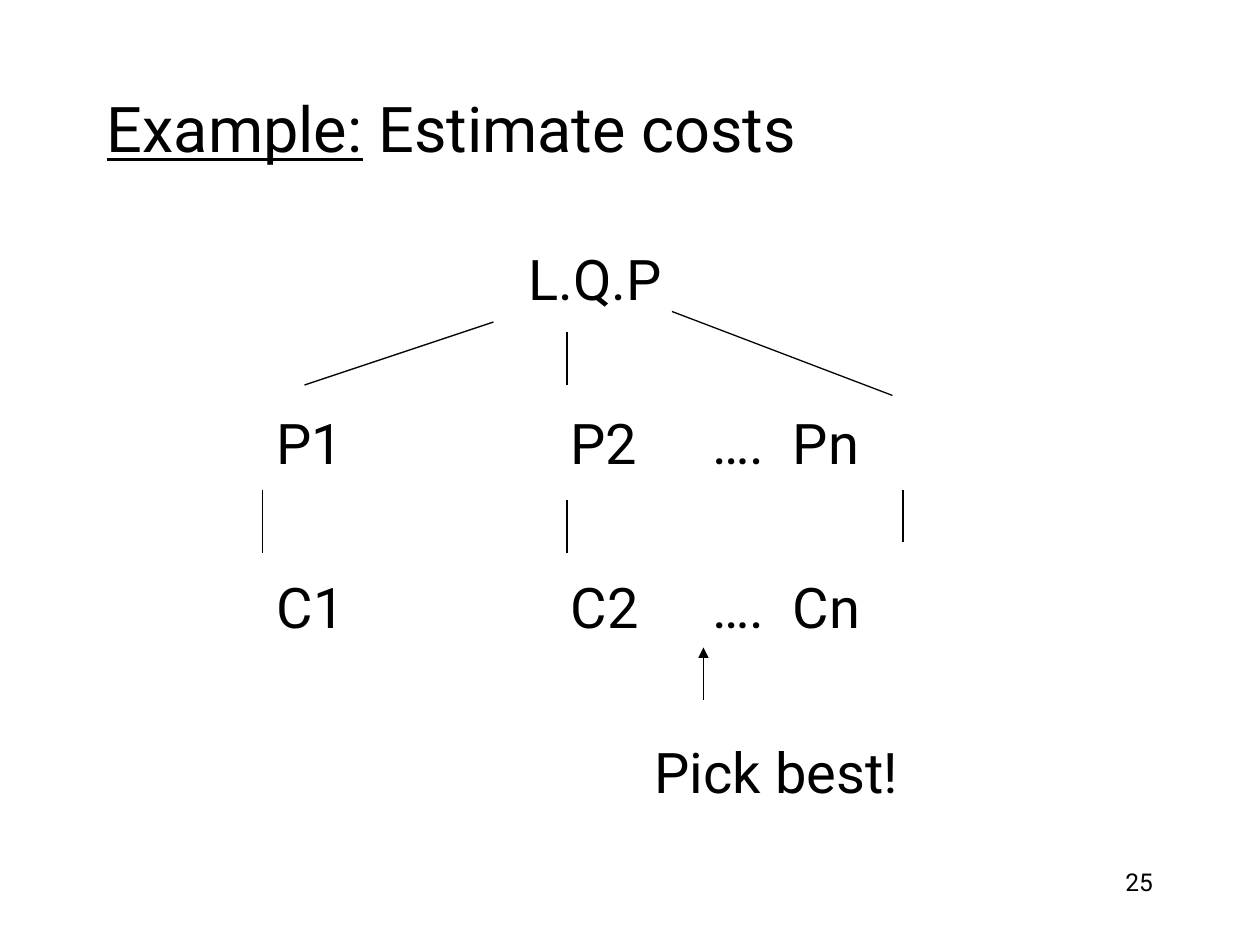
from lxml.etree import SubElement
from pptx import Presentation
from pptx.dml.color import RGBColor
from pptx.enum.shapes import MSO_CONNECTOR
from pptx.enum.text import MSO_ANCHOR, PP_ALIGN
from pptx.oxml.ns import qn
from pptx.util import Pt

THEME = {
    "font": "Roboto", "ink": RGBColor(0, 0, 0), "line": 0.75,
    "title": 36, "body": 32, "number": 14,
}
TITLE = [("Example:", True), (" Estimate costs", False)]
NUMBER = "25"

# Each tree level: the labels and the tab stop (points) of each
COLUMNS = [97, 265, 346, 392]
LEVELS = [
    (["L.Q.P"], [241]),
    (["P1", "P2", "….", "Pn"], COLUMNS),
    (["C1", "C2", "….", "Cn"], COLUMNS),
    (["Pick best!"], [313]),
]
LEVEL_GAP = 55.5

# Start x, y and end x, y in points
BRANCHES = [
    (282, 184, 174, 220), (324, 190, 324, 220), (384, 178, 510, 226),
    (150, 280, 150, 316), (324, 286, 324, 316), (516, 280, 516, 310),
]
PICK_ARROW = (402, 400, 402, 370)


def add_text_frame(slide, x, y, w, h, anchor=MSO_ANCHOR.TOP):
    tf = slide.shapes.add_textbox(Pt(x), Pt(y), Pt(w), Pt(h)).text_frame
    tf.word_wrap = True
    tf.vertical_anchor = anchor
    return tf


def style(p, size):
    p.font.name = THEME["font"]
    p.font.size = Pt(THEME[size])
    p.font.color.rgb = THEME["ink"]


def add_tabs(p, stops):
    tabs = SubElement(p._p.get_or_add_pPr(), qn("a:tabLst"))
    for stop in stops:
        SubElement(tabs, qn("a:tab"), pos=str(Pt(stop)), algn="l")


def add_line(slide, x1, y1, x2, y2, arrow=False):
    sp = slide.shapes.add_connector(
        MSO_CONNECTOR.STRAIGHT, Pt(x1), Pt(y1), Pt(x2), Pt(y2))
    sp.line.color.rgb = THEME["ink"]
    sp.line.width = Pt(THEME["line"])
    if arrow:
        SubElement(sp.line._get_or_add_ln(), qn("a:tailEnd"), type="triangle")
    SubElement(sp._element.spPr, qn("a:effectLst"))


def main():
    prs = Presentation()
    prs.slide_width, prs.slide_height = Pt(720), Pt(540)
    s = prs.slides.add_slide(prs.slide_layouts[6])

    p = add_text_frame(s, 516, 492, 150, 36).paragraphs[0]
    p.text = NUMBER
    p.alignment = PP_ALIGN.RIGHT
    style(p, "number")

    p = add_text_frame(s, 54, 28, 612, 90, MSO_ANCHOR.MIDDLE).paragraphs[0]
    for text, underline in TITLE:
        r = p.add_run()
        r.text = text
        r.font.underline = underline
    style(p, "title")

    tf = add_text_frame(s, 54, 136, 612, 324)
    for i, (labels, stops) in enumerate(LEVELS):
        p = tf.add_paragraph() if i else tf.paragraphs[0]
        p.text = "".join("\t" + label for label in labels)
        if i:
            p.space_before = Pt(LEVEL_GAP)
        add_tabs(p, stops)
        style(p, "body")

    for branch in BRANCHES:
        add_line(s, *branch)
    add_line(s, *PICK_ARROW, arrow=True)

    prs.save("out.pptx")


if __name__ == "__main__":
    main()
